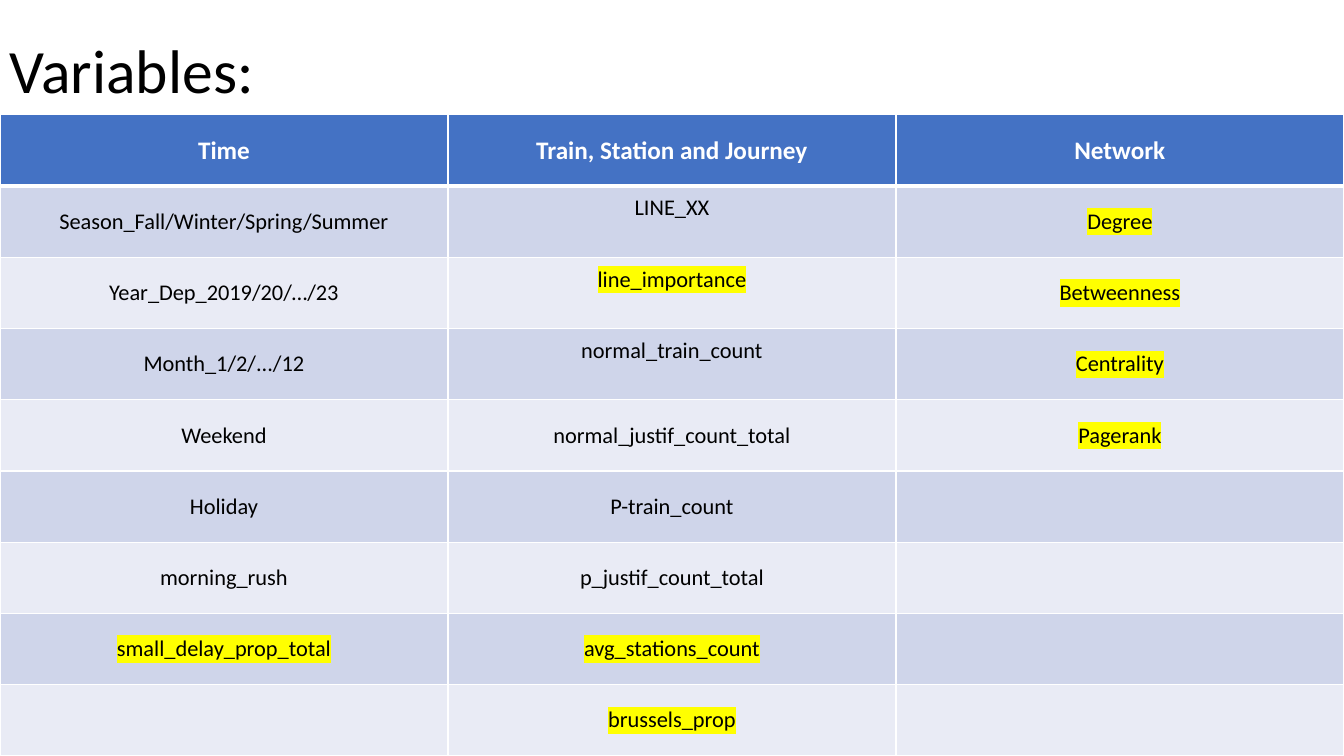
from lxml import etree
from pptx import Presentation
from pptx import util as u
from pptx.dml.color import RGBColor
from pptx.enum import text
from pptx.oxml.ns import qn

# Content: one tuple per table column, header first
TITLE = "Variables:"
COLUMNS = [
    ("Time", "Season_Fall/Winter/Spring/Summer", "Year_Dep_2019/20/…/23",
     "Month_1/2/.../12", "Weekend", "Holiday", "morning_rush",
     "small_delay_prop_total", ""),
    ("Train, Station and Journey", "LINE_XX", "line_importance",
     "normal_train_count", "normal_justif_count_total", "P-train_count",
     "p_justif_count_total", "avg_stations_count", "brussels_prop"),
    ("Network", "Degree", "Betweenness", "Centrality", "Pagerank",
     "", "", "", ""),
]
HIGHLIGHTED = {"small_delay_prop_total", "line_importance", "avg_stations_count",
               "brussels_prop", "Degree", "Betweenness", "Centrality", "Pagerank"}
RAISED = {"LINE_XX", "line_importance", "normal_train_count"}
COLORS = {"header": "4472C4", "odd": "CFD5EA", "even": "E9EBF5",
          "white": "FFFFFF", "black": "000000", "mark": "FFFF00"}
FONT = "Calibri"
WIDTH, HEIGHT, TABLE_TOP = 960, 540, 82


def set_font(p, size, color, bold=False):
    f = p.font
    f.name, f.size, f.bold = FONT, u.Pt(size), bold
    f.color.rgb = RGBColor.from_string(COLORS[color])


def add_color(parent, color):
    etree.SubElement(parent, qn("a:srgbClr"), val=COLORS[color])


def set_borders(cell, top, bottom):
    tcPr = cell._tc.get_or_add_tcPr()
    sides = (("L", 1), ("R", 1), ("T", top), ("B", bottom))
    for i, (side, width) in enumerate(sides):
        ln = etree.Element(qn("a:ln" + side), w=str(u.Pt(width)))
        add_color(etree.SubElement(ln, qn("a:solidFill")), "white")
        tcPr.insert(i, ln)


def highlight(r):
    add_color(etree.SubElement(r._r.get_or_add_rPr(), qn("a:highlight")), "mark")


prs = Presentation()
prs.slide_width, prs.slide_height = u.Pt(WIDTH), u.Pt(HEIGHT)
s = prs.slides.add_slide(prs.slide_layouts[6])

# Title
tf = s.shapes.add_textbox(0, 0, u.Pt(828), u.Pt(104.4)).text_frame
tf.word_wrap = True
tf.vertical_anchor = text.MSO_ANCHOR.MIDDLE
p = tf.paragraphs[0]
p.text, p.line_spacing = TITLE, 0.9
set_font(p, 44, "black")

# Table
n_rows, n_cols = len(COLUMNS[0]), len(COLUMNS)
table = s.shapes.add_table(n_rows, n_cols, 0, u.Pt(TABLE_TOP), u.Pt(WIDTH),
                           u.Pt(HEIGHT - TABLE_TOP)).table
for row in table.rows:
    row.height = u.Pt((HEIGHT - TABLE_TOP) / n_rows)

for col, entries in enumerate(COLUMNS):
    for row, entry in enumerate(entries):
        cell = table.cell(row, col)
        header = row == 0
        fill = "header" if header else "odd" if row % 2 else "even"
        cell.fill.solid()
        cell.fill.fore_color.rgb = RGBColor.from_string(COLORS[fill])
        set_borders(cell, top=3 if row == 1 else 1, bottom=3 if header else 1)
        cell.vertical_anchor = text.MSO_ANCHOR.MIDDLE
        if entry in RAISED:
            cell.margin_bottom = u.Pt(23)
        p = cell.text_frame.paragraphs[0]
        p.alignment = text.PP_ALIGN.CENTER
        set_font(p, 18 if header else 16, "white" if header else "black", header)
        if entry:
            r = p.add_run()
            r.text = entry
            if entry in HIGHLIGHTED:
                highlight(r)

prs.save("out.pptx")
